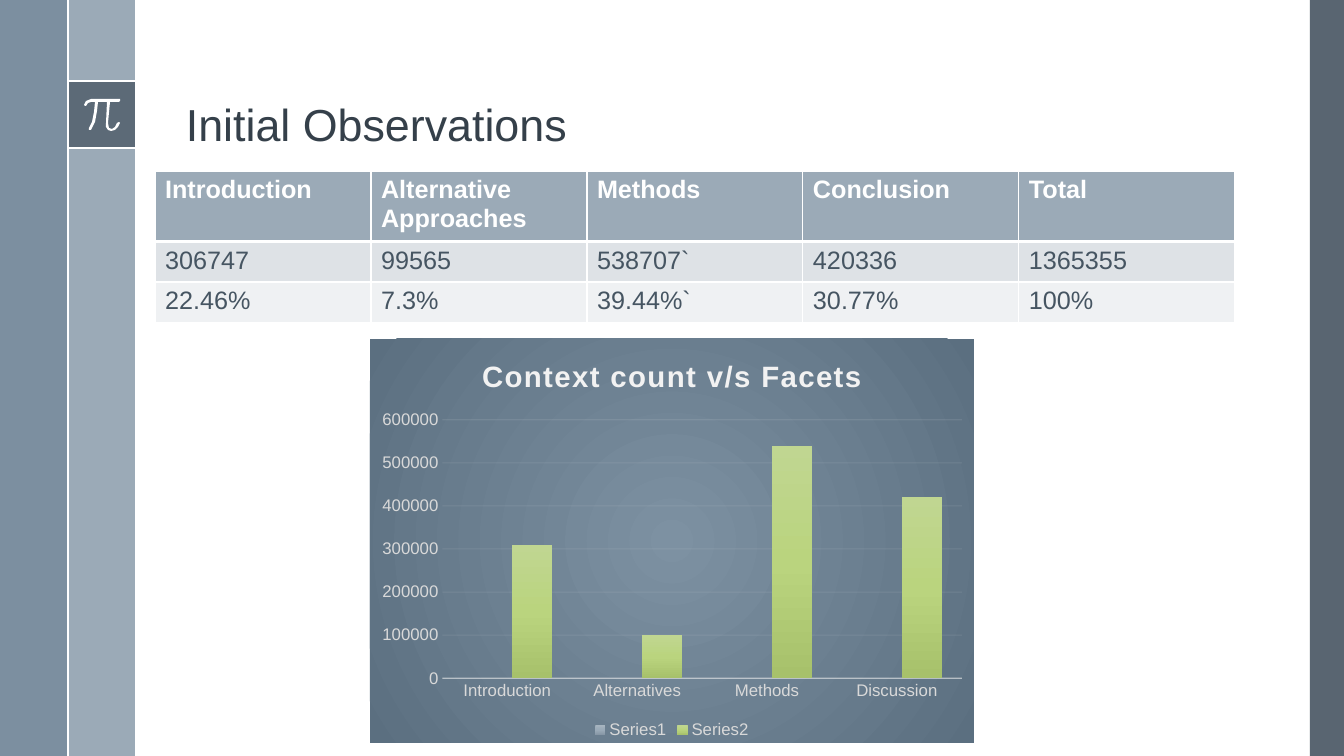
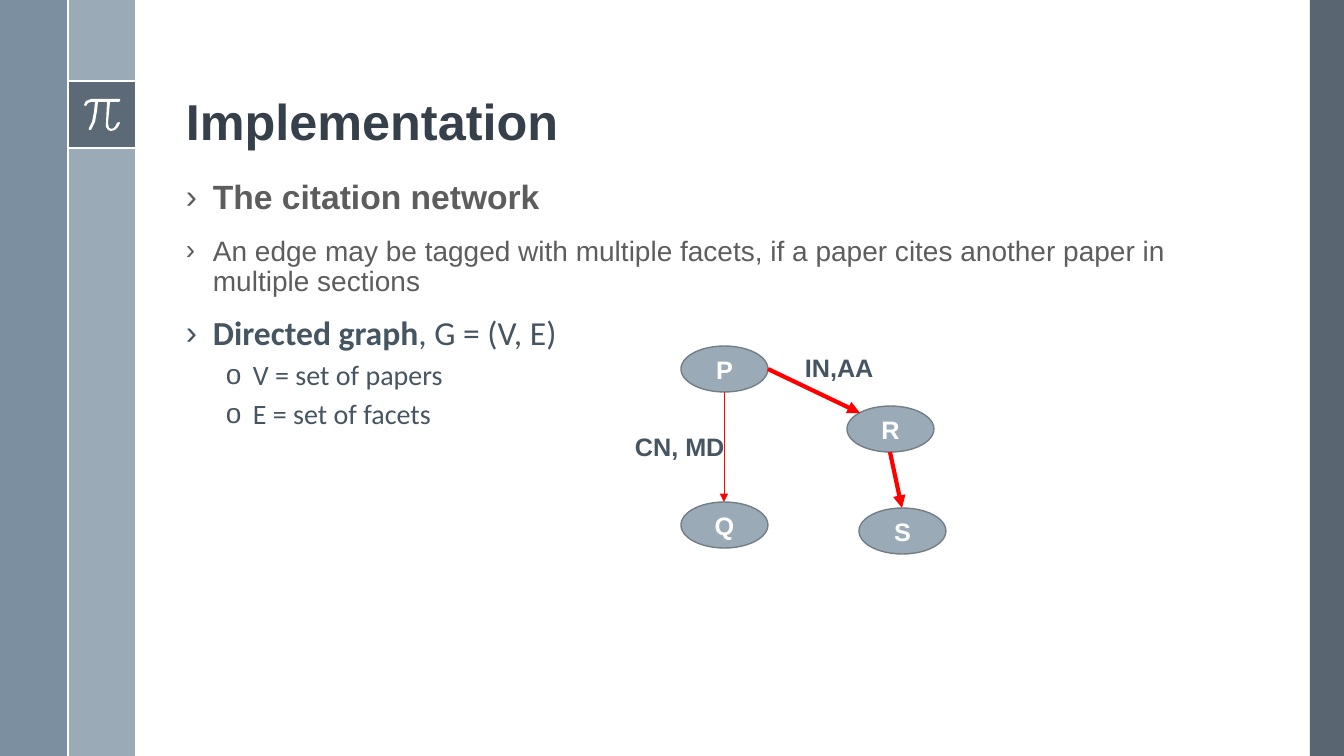
from lxml import etree
from pptx import Presentation
from pptx.chart.data import CategoryChartData
from pptx.dml.color import RGBColor
from pptx.enum import chart as charts, shapes, text as texts
from pptx.oxml import parse_xml
from pptx.oxml.ns import nsdecls, qn
from pptx import util as u

PX = 914400 / 100.8  # EMU in one px; the slide is 1344 by 756 px

COLORS = {
    "white": "FFFFFF", "title": "35404A", "ink": "465562", "gray": "5D5D5D",
    "steel": "6A8093", "mist": "9BAAB7", "slate": "475562", "outline": "737E87",
    "arrow": "FF0000", "row_dark": "DEE2E6", "row_light": "EFF1F3",
    "chart_text": "D9D9D9", "chart_line": "F2F2F2",
}
PANEL_GRADIENT = [(0, "7D91A2"), (100, "5B6F80")]
SERIES_GRADIENTS = [
    [(0, "A6B4BF"), (50, "9AAAB8"), (100, "8797A6")],
    [(0, "C0D691"), (50, "BAD47E"), (100, "A7C16B")],
]
PI_OUTLINE = [
    (119, 99), (91, 99), (86, 101), (84, 105), (85, 106), (86, 106), (88, 103),
    (91, 102), (95, 102), (94, 112), (92, 122), (89, 128), (89, 130), (91, 130),
    (95, 122), (97, 111), (98, 102), (107, 102), (106, 123), (106, 127),
    (108, 130), (111, 131), (115, 130), (118, 127), (120, 123), (119, 122),
    (117, 123), (115, 127), (112, 129), (109, 128), (108, 123), (110, 102),
    (119, 102), (120, 101), (120, 99),
]
NODE_WIDTH, NODE_HEIGHT = 87, 46


def px(*lengths):
    return [u.Emu(round(length * PX)) for length in lengths]


def rgb(name):
    return RGBColor.from_string(COLORS[name])


def add_text(paragraph, content, *, size=18, color="ink", bold=False,
             font="Arial", spacing=None):
    run = paragraph.add_run()
    run.text = content
    style_font(run.font, size, color, bold, font)
    if spacing:
        run._r.get_or_add_rPr().set("spc", str(spacing))


def style_font(font, size, color, bold=False, name="Arial"):
    font.name, font.size, font.bold = name, u.Pt(size), bold
    font.color.rgb = rgb(color)


def paint(fill, color, opacity=100):
    fill.solid()
    fill.fore_color.rgb = rgb(color)
    if opacity < 100:
        srgb = fill._xPr.find(".//" + qn("a:srgbClr"))
        etree.SubElement(srgb, qn("a:alpha"), val=str(opacity * 1000))


def draw_line(line, color, width, opacity=100):
    line.width = u.Pt(width)
    paint(line.fill, color, opacity)


def gradient_xml(stops, direction):
    stop_xml = "".join(
        f'<a:gs pos="{position * 1000}"><a:srgbClr val="{color}"/></a:gs>'
        for position, color in stops)
    return (f'<a:gradFill {nsdecls("a")}><a:gsLst>{stop_xml}</a:gsLst>'
            f"{direction}</a:gradFill>")


DOWNWARD = '<a:lin ang="5400000" scaled="0"/>'
RADIAL = ('<a:path path="circle"><a:fillToRect l="50000" t="50000" '
          'r="50000" b="50000"/></a:path>')


class Deck:
    """Holds the style and the current slide."""

    def __init__(self):
        self.presentation = Presentation()
        (self.presentation.slide_width,
         self.presentation.slide_height) = px(1344, 756)
        self.slide = None

    # Shared frame: bands, icon tile and title
    def new_slide(self, title, size, bold=False):
        layout = self.presentation.slide_layouts[6]
        self.slide = self.presentation.slides.add_slide(layout)
        for left, top, width, height, color, opacity in (
                (1310, 0, 34, 756, "slate", 90), (68, 0, 67, 756, "mist", 100),
                (0, 0, 68, 756, "steel", 88), (68, 81, 67, 67, "slate", 75)):
            self.shape("RECTANGLE", left, top, width, height, color, opacity)
        for start, end in (((68, 81), (135, 81)), ((68, 148), (135, 148)),
                           ((68, 0), (68, 756))):
            self.line(start, end, "white", 1.5)
        self.outline(PI_OUTLINE, "white")
        frame = self.text_box(176, 19, 1079, 137)
        frame.vertical_anchor = texts.MSO_ANCHOR.BOTTOM
        frame.paragraphs[0].line_spacing = 0.9
        add_text(frame.paragraphs[0], title, size=size, color="title", bold=bold)

    def shape(self, kind, left, top, width, height, color, opacity=100):
        shape = self.slide.shapes.add_shape(
            getattr(shapes.MSO_SHAPE, kind), *px(left, top, width, height))
        shape.shadow.inherit = False
        paint(shape.fill, color, opacity)
        shape.line.fill.background()
        return shape

    def outline(self, points, color):
        builder = self.slide.shapes.build_freeform(*points[0], scale=PX)
        builder.add_line_segments(points[1:], close=True)
        shape = builder.convert_to_shape()
        shape.shadow.inherit = False
        paint(shape.fill, color)
        shape.line.fill.background()

    def line(self, start, end, color, width, arrow=False):
        connector = self.slide.shapes.add_connector(
            shapes.MSO_CONNECTOR.STRAIGHT, *px(*start, *end))
        draw_line(connector.line, color, width)
        if arrow:
            etree.SubElement(connector.line._get_or_add_ln(),
                             qn("a:tailEnd"), type="triangle")
        etree.SubElement(connector._element.spPr, qn("a:effectLst"))

    def text_box(self, left, top, width, height):
        box = self.slide.shapes.add_textbox(*px(left, top, width, height))
        box.text_frame.word_wrap = True
        return box.text_frame

    def label(self, left, top, width, content):
        frame = self.text_box(left, top, width, 40)
        add_text(frame.paragraphs[0], content, bold=True)

    def bullets(self, left, top, width, height, items):
        """Each item is a level and a list of (text, format) runs."""
        frame = self.text_box(left, top, width, height)
        for index, (level, runs) in enumerate(items):
            paragraph = frame.add_paragraph() if index else frame.paragraphs[0]
            paragraph.level = level
            paragraph.line_spacing = 0.9
            paragraph.space_before = u.Pt((14, 6)[level])
            properties = paragraph._p.get_or_add_pPr()
            indent, hanging = px((27, 67)[level], -27)
            properties.set("marL", str(indent))
            properties.set("indent", str(hanging))
            etree.SubElement(properties, qn("a:buFont"), typeface="Arial")
            etree.SubElement(properties, qn("a:buChar"), char="›o"[level])
            for content, style in runs:
                add_text(paragraph, content, **style)

    def node(self, left, top, name):
        shape = self.shape("OVAL", left, top, NODE_WIDTH, NODE_HEIGHT, "mist")
        draw_line(shape.line, "outline", 1)
        frame = shape.text_frame
        frame.vertical_anchor = texts.MSO_ANCHOR.MIDDLE
        frame.paragraphs[0].alignment = texts.PP_ALIGN.CENTER
        add_text(frame.paragraphs[0], name, color="white", bold=True)

    def table(self, left, top, column_width, row_heights, rows):
        columns = len(rows[0])
        table = self.slide.shapes.add_table(
            len(rows), columns,
            *px(left, top, column_width * columns, sum(row_heights))).table
        for column in table.columns:
            column.width = px(column_width)[0]
        for index, (height, values) in enumerate(zip(row_heights, rows)):
            table.rows[index].height = px(height)[0]
            header = index == 0
            color = "mist" if header else ("row_light", "row_dark")[index % 2]
            for cell, content in zip(table.rows[index].cells, values):
                add_text(cell.text_frame.paragraphs[0], content, bold=header,
                         color="white" if header else "ink")
                paint(cell.fill, color)
                self.borders(cell, top=3 if index == 1 else 1,
                             bottom=3 if header else 1)

    def borders(self, cell, top, bottom):
        properties = cell._tc.get_or_add_tcPr()
        widths = {"lnL": 1, "lnR": 1, "lnT": top, "lnB": bottom}
        for position, (side, width) in enumerate(widths.items()):
            properties.insert(position, parse_xml(
                f'<a:{side} {nsdecls("a")} w="{u.Pt(width)}"><a:solidFill>'
                f'<a:srgbClr val="{COLORS["white"]}"/></a:solidFill></a:{side}>'))

    def column_chart(self, left, top, width, height, title, categories, series):
        data = CategoryChartData()
        data.categories = categories
        for name, values in series:
            data.add_series(name, values)
        chart = self.slide.shapes.add_chart(
            charts.XL_CHART_TYPE.COLUMN_CLUSTERED,
            *px(left, top, width, height), data).chart
        style_font(chart.font, 12, "chart_text")

        # Title and legend
        chart.has_title = True
        add_text(chart.chart_title.text_frame.paragraphs[0], title, size=21,
                 color="chart_line", bold=True, spacing=100)
        chart.chart_title.include_in_layout = False
        chart.has_legend = True
        chart.legend.position = charts.XL_LEGEND_POSITION.BOTTOM
        chart.legend.include_in_layout = False
        style_font(chart.legend.font, 12, "chart_text")

        # Axes
        for axis in (chart.category_axis, chart.value_axis):
            axis.major_tick_mark = charts.XL_TICK_MARK.NONE
            style_font(axis.tick_labels.font, 12, "chart_text")
        draw_line(chart.category_axis.format.line, "chart_line", 1, 54)
        value_axis = chart.value_axis
        value_axis.minimum_scale, value_axis.maximum_scale = 0, 600000
        value_axis.major_unit = 100000
        value_axis.format.line.fill.background()
        draw_line(value_axis.major_gridlines.format.line, "chart_line", 0.75, 10)

        # Columns
        plot = chart.plots[0]
        plot.gap_width, plot.overlap, plot.vary_by_categories = 100, -24, False
        for column, stops in zip(plot.series, SERIES_GRADIENTS):
            column.format.fill.solid()
            solid = column.format.fill._xPr.find(qn("a:solidFill"))
            solid.getparent().replace(
                solid, parse_xml(gradient_xml(stops, DOWNWARD)))

        # Panel fill and plot position
        chart_xml = chart._chartSpace.find(qn("c:chart"))
        chart_xml.addnext(parse_xml(
            f'<c:spPr {nsdecls("c", "a")}>{gradient_xml(PANEL_GRADIENT, RADIAL)}'
            "<a:ln><a:noFill/></a:ln></c:spPr>"))
        plot_area = chart_xml.find(qn("c:plotArea"))
        for old_layout in plot_area.findall(qn("c:layout")):
            plot_area.remove(old_layout)
        places = "".join(f'<c:{key} val="{value}"/>' for key, value in (
            ("layoutTarget", "inner"), ("xMode", "edge"), ("yMode", "edge"),
            ("x", 0.12), ("y", 0.2), ("w", 0.86), ("h", 0.64)))
        plot_area.insert(0, parse_xml(
            f'<c:layout {nsdecls("c")}><c:manualLayout>{places}'
            "</c:manualLayout></c:layout>"))


def observations_slide(deck):
    deck.new_slide("Initial Observations", 32)
    deck.table(155, 171, 216, (66, 40, 40), (
        ("Introduction", "Alternative Approaches", "Methods", "Conclusion", "Total"),
        ("306747", "99565", "538707`", "420336", "1365355"),
        ("22.46%", "7.3%", "39.44%`", "30.77%", "100%")))
    deck.column_chart(
        370, 339, 604, 404, "Context count v/s Facets",
        ("Introduction", "Alternatives", "Methods", "Discussion"),
        (("Series1", (None,) * 4), ("Series2", (310000, 100000, 540000, 420000))))


def implementation_slide(deck):
    deck.new_slide("Implementation", 36, bold=True)
    heading = {"size": 24, "color": "gray", "bold": True}
    formula = {"size": 24, "font": "Calibri"}
    detail = {"size": 20, "font": "Calibri"}
    deck.bullets(176, 176, 1079, 504, (
        (0, [("The citation network", heading)]),
        (0, [("An edge may be tagged with multiple facets, if a paper cites "
              "another paper in multiple sections", {"size": 20, "color": "gray"})]),
        (0, [("Directed graph", {**formula, "bold": True}),
             (", G = (V, E)", formula)]),
        (1, [("V = set of papers", detail)]),
        (1, [("E = set of facets", detail)])))

    # Citation graph
    nodes = {"P": (681, 346), "Q": (681, 502), "R": (847, 406), "S": (859, 508)}
    for name, (left, top) in nodes.items():
        deck.node(left, top, name)

    def site(name, across, down):
        left, top = nodes[name]
        return round(left + NODE_WIDTH * across), round(top + NODE_HEIGHT * down)

    top, bottom, right, top_left = (0.5, 0), (0.5, 1), (1, 0.5), (0.15, 0.15)
    for source, exit_site, target, entry_site, width in (
            ("P", right, "R", top_left, 3), ("R", bottom, "S", top, 3),
            ("P", bottom, "Q", top, 0.5)):
        deck.line(site(source, *exit_site), site(target, *entry_site),
                  "arrow", width, arrow=True)
    deck.label(625, 426, 128, "CN, MD")
    deck.label(795, 347, 102, "IN,AA")


def main():
    deck = Deck()
    observations_slide(deck)
    implementation_slide(deck)
    deck.presentation.save("out.pptx")


if __name__ == "__main__":
    main()
